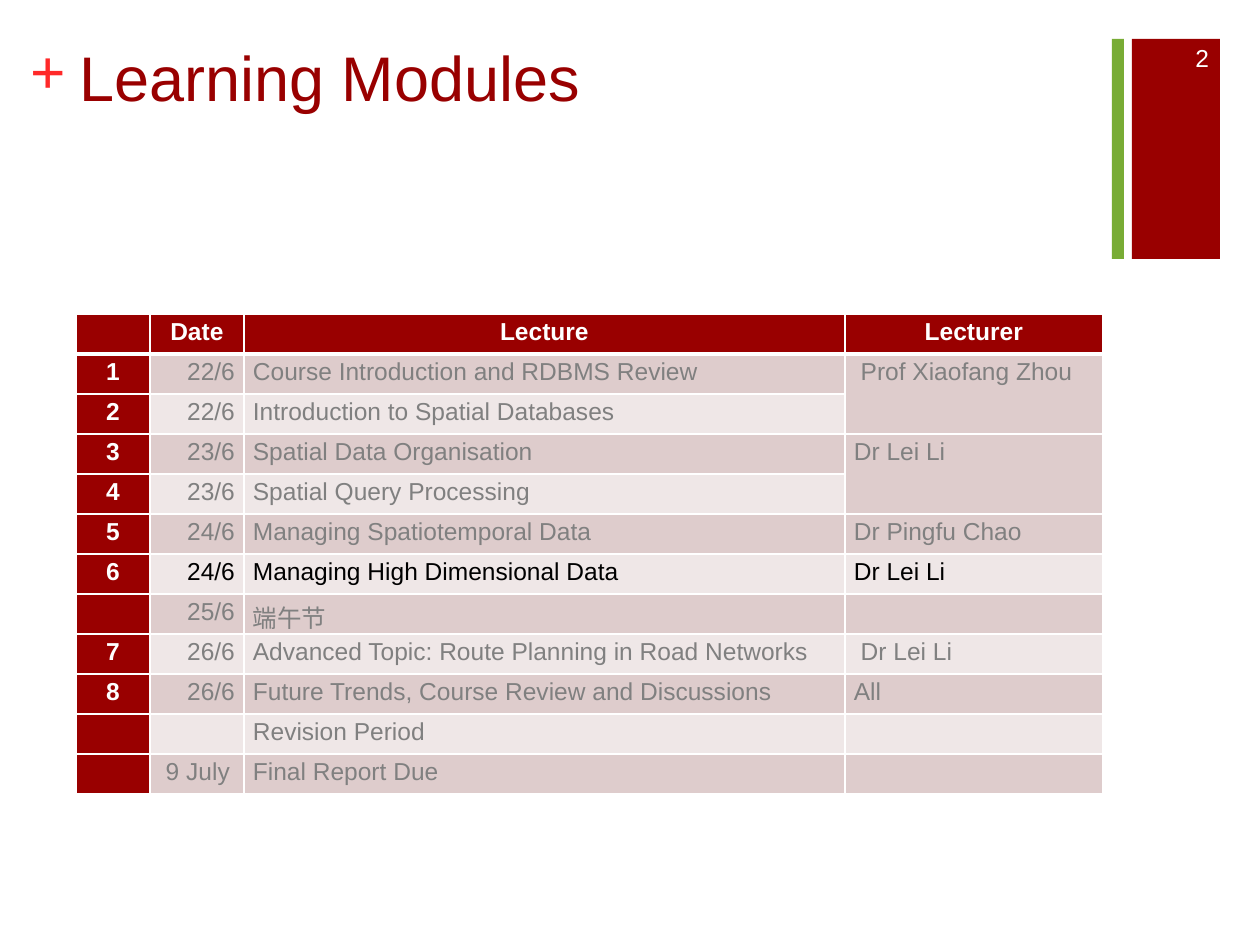
import pptx
import pptx.dml.color
import pptx.enum.shapes
import pptx.enum.text
import pptx.oxml
import pptx.oxml.ns
import pptx.util

SCALE = 914400 / 126
RED, GREEN, WHITE, GREY, BLACK = "990000", "78AC35", "FFFFFF", "808080", "000000"
BANDS = ("DECCCC", "EFE7E7")
ALIGN = pptx.enum.text.PP_ALIGN
COLUMNS = (74, 94, 601, 258)
ROW_HEIGHT = 40
CURRENT_ROW = 6
MERGED_ROWS = (1, 3)
ROWS = (
    ("", "Date", "Lecture", "Lecturer"),
    ("1", "22/6", "Course Introduction and RDBMS Review", " Prof Xiaofang Zhou"),
    ("2", "22/6", "Introduction to Spatial Databases", ""),
    ("3", "23/6", "Spatial Data Organisation", "Dr Lei Li"),
    ("4", "23/6", "Spatial Query Processing", ""),
    ("5", "24/6", "Managing Spatiotemporal Data", "Dr Pingfu Chao"),
    ("6", "24/6", "Managing High Dimensional Data", "Dr Lei Li"),
    ("", "25/6", "端午节", ""),
    ("7", "26/6", "Advanced Topic: Route Planning in Road Networks", " Dr Lei Li"),
    ("8", "26/6", "Future Trends, Course Review and Discussions", "All"),
    ("", "", "Revision Period", ""),
    ("", " 9 July", "Final Report Due", ""),
)


def px(length):
    """Turn pixels into EMU."""
    return pptx.util.Emu(round(length * SCALE))


def colour(value):
    """Turn a hex string into a colour."""
    return pptx.dml.color.RGBColor.from_string(value)


def add_span(para, text, size, ink, bold=False, face="Arial"):
    """Add one styled run to a paragraph."""
    span = para.add_run()
    span.text = text
    span.font.size = pptx.util.Pt(size)
    span.font.name = face
    span.font.bold = bold
    span.font.color.rgb = colour(ink)


def add_bar(page, box, fill):
    """Draw a plain filled rectangle."""
    bar = page.shapes.add_shape(pptx.enum.shapes.MSO_SHAPE.RECTANGLE, *map(px, box))
    bar.shadow.inherit = False
    bar.fill.solid()
    bar.fill.fore_color.rgb = colour(fill)
    bar.line.fill.background()


def add_label(page, box, text, size, ink, insets, align=ALIGN.LEFT, middle=False, **style):
    """Place one line of text in a box with left, top, right and bottom insets."""
    frame = page.shapes.add_textbox(*map(px, box)).text_frame
    frame.word_wrap = True
    frame.margin_left, frame.margin_top, frame.margin_right, frame.margin_bottom = map(px, insets)
    anchor = pptx.enum.text.MSO_ANCHOR
    frame.vertical_anchor = anchor.MIDDLE if middle else anchor.TOP
    para = frame.paragraphs[0]
    para.alignment = align
    add_span(para, text, size, ink, **style)


def add_heading(page, left, top):
    """Place the plus sign and the title."""
    add_label(page, (left, top + 7, 37, 77), "+", 36, "FF2929", (0, 0, 0, 0),
              bold=True, face="Times New Roman")
    add_label(page, (left + 39, top, 1041, 154), "Learning Modules", 36, RED, (10, 14, 12, 6))


def add_corner(page, left, top):
    """Place the green and red bars with the page number."""
    add_bar(page, (left + 20, top, 88, 220), RED)
    add_bar(page, (left, top, 12, 220), GREEN)
    add_label(page, (left + 32, top - 6, 77, 50), "2", 14, WHITE, (12, 6, 12, 6),
              align=ALIGN.RIGHT, middle=True)


def draw_borders(cell, top, bottom):
    """Give a cell white edges, with the top and bottom weights in points."""
    properties = cell._tc.get_or_add_tcPr()
    for side, weight in (("L", 1), ("R", 1), ("T", top), ("B", bottom)):
        properties.append(pptx.oxml.parse_xml(
            f'<a:ln{side} {pptx.oxml.ns.nsdecls("a")} w="{weight * 12700}">'
            f'<a:solidFill><a:srgbClr val="{WHITE}"/></a:solidFill></a:ln{side}>'))


def fill_cell(cell, row, column, text):
    """Style one table cell by its row and column and write its text."""
    header = row == 0
    strong = header or column == 0
    draw_borders(cell, 3 if row == 1 else 1, 3 if header else 1)
    cell.fill.solid()
    cell.fill.fore_color.rgb = colour(RED if strong else BANDS[(row - 1) % 2])
    cell.margin_left = cell.margin_right = px(9)
    cell.margin_top = cell.margin_bottom = 0
    if not text:
        return
    para = cell.text_frame.paragraphs[0]
    para.line_spacing = 1.15
    if strong:
        para.alignment = ALIGN.CENTER
    elif column == 1 and row < len(ROWS) - 1:
        para.alignment = ALIGN.RIGHT
    else:
        para.alignment = ALIGN.LEFT
    ink = WHITE if strong else BLACK if row == CURRENT_ROW else GREY
    add_span(para, text, 14, ink, bold=strong)


def add_schedule(page, left, top):
    """Place the table of lectures."""
    box = (left, top, sum(COLUMNS), ROW_HEIGHT * len(ROWS))
    table = page.shapes.add_table(len(ROWS), len(COLUMNS), *map(px, box)).table
    table.horz_banding = False
    for column, width in zip(table.columns, COLUMNS):
        column.width = px(width)
    for row, texts in enumerate(ROWS):
        table.rows[row].height = px(ROW_HEIGHT)
        for column, text in enumerate(texts):
            fill_cell(table.cell(row, column), row, column, text)
    for row in MERGED_ROWS:
        table.cell(row, 3).merge(table.cell(row + 1, 3))


def main():
    """Build the slide and save it."""
    deck = pptx.Presentation()
    deck.slide_width, deck.slide_height = px(1260), px(945)
    page = deck.slides.add_slide(deck.slide_layouts[6])
    add_heading(page, 30, 25)
    add_corner(page, 1112, 39)
    add_schedule(page, 76, 314)
    deck.save("out.pptx")


if __name__ == "__main__":
    main()
